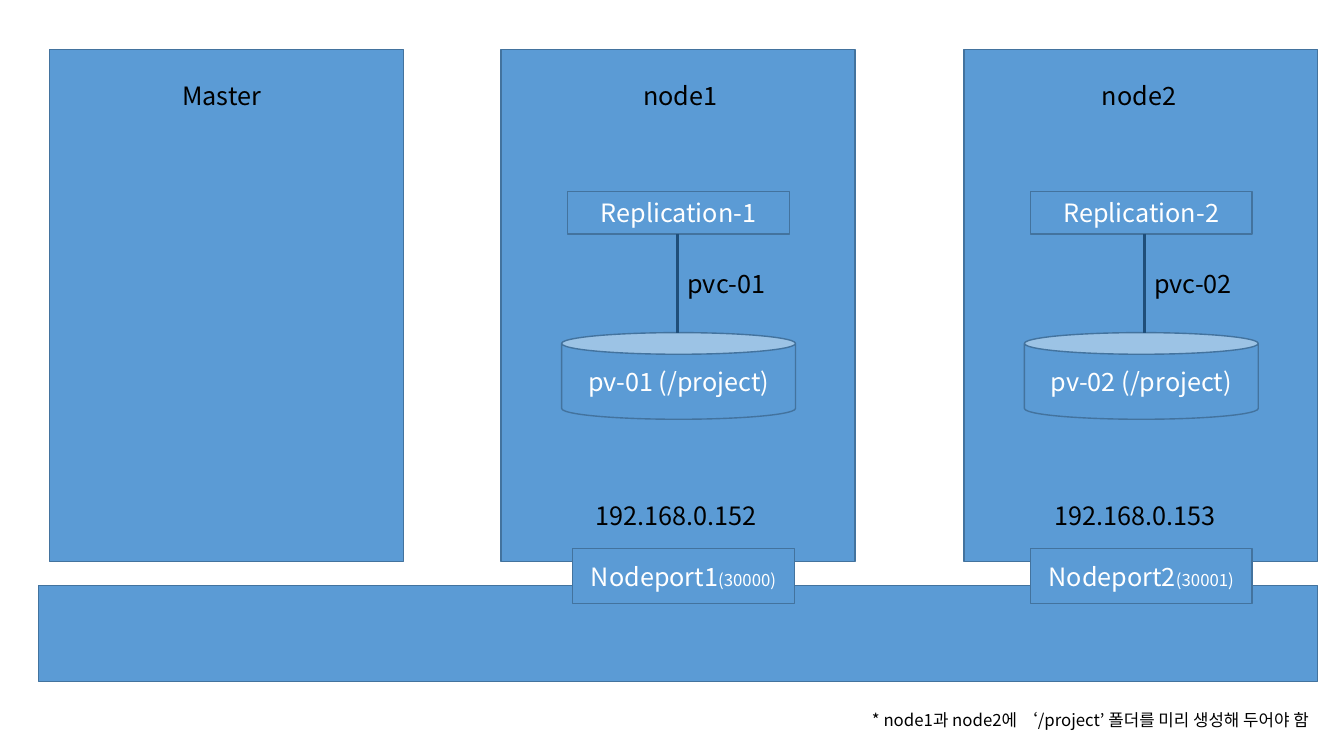
import pptx
import pptx.dml.color
import pptx.enum.shapes
import pptx.enum.text
import pptx.oxml
import pptx.oxml.ns
import pptx.util
from pptx.util import Inches

SHAPES = pptx.enum.shapes.MSO_SHAPE
ALIGN = pptx.enum.text.PP_ALIGN
ANCHOR = pptx.enum.text.MSO_ANCHOR


def color(hex_text):
    """Turn a hex string into a colour."""
    return pptx.dml.color.RGBColor.from_string(hex_text)


class Diagram:
    """Holds the style and the current slide."""
    font = "Noto Sans CJK KR"
    fill, edge, link = "5B9BD5", "43739E", "1F4E79"
    dark, light = "000000", "FFFFFF"

    def __init__(self, slide):
        """Keep the slide to draw on."""
        self.shapes = slide.shapes

    def add_text(self, p, text, size, hex_text):
        """Add one formatted run to a paragraph."""
        r = p.add_run()
        r.text = text
        style = {"name": self.font, "size": pptx.util.Pt(size)}
        for name, value in style.items():
            setattr(r.font, name, value)
        r.font.color.rgb = color(hex_text)
        ea = pptx.oxml.parse_xml(
            f'<a:ea {pptx.oxml.ns.nsdecls("a")} typeface="{self.font}"/>')
        r._r.get_or_add_rPr().append(ea)

    def label(self, text, x, y, w, h=0.4, size=18):
        """Add dark text without a frame."""
        tf = self.shapes.add_textbox(*map(Inches, (x, y, w, h))).text_frame
        tf.word_wrap = True
        self.add_text(tf.paragraphs[0], text, size, self.dark)

    def block(self, x, y, w, h, runs=(), kind=SHAPES.RECTANGLE):
        """Add a filled shape with centred runs of (text, size)."""
        s = self.shapes.add_shape(kind, *map(Inches, (x, y, w, h)))
        s.shadow.inherit = False
        s.fill.solid()
        s.fill.fore_color.rgb = color(self.fill)
        s.line.color.rgb = color(self.edge)
        s.line.width = pptx.util.Pt(1)
        tf = s.text_frame
        tf.vertical_anchor = ANCHOR.MIDDLE
        p = tf.paragraphs[0]
        p.alignment = ALIGN.CENTER
        for text, size in runs:
            self.add_text(p, text, size, self.light)

    def connect(self, x1, y1, x2, y2):
        """Add a plain connecting line."""
        s = self.shapes.add_connector(
            pptx.enum.shapes.MSO_CONNECTOR.STRAIGHT,
            *map(Inches, (x1, y1, x2, y2)))
        s.line.color.rgb = color(self.link)
        s.line.width = pptx.util.Pt(2.25)
        s._element.spPr.append(pptx.oxml.parse_xml(
            f'<a:effectLst {pptx.oxml.ns.nsdecls("a")}/>'))


def draw_machine(d, x, name, name_x, name_w):
    """Draw a server panel with its name."""
    d.block(x, 0.49, 3.51, 5.08)
    d.label(name, name_x, 0.75, name_w)


def draw_node(d, number, x, name_x, port_x, link_x, ip_x):
    """Draw a node with its replication, volume and port."""
    draw_machine(d, x, f"node{number}", name_x, 1.34)
    d.block(x + 0.66, 1.9, 2.2, 0.42, [(f"Replication-{number}", 18)])
    d.block(port_x, 5.44, 2.2, 0.55,
            [(f"Nodeport{number}", 18), (f"({29999 + number})", 12)])
    d.block(x + 0.6, 3.3, 2.32, 0.86,
            [(f"pv-0{number} (/project)", 18)], SHAPES.CAN)
    d.connect(link_x, 2.32, link_x, 3.3)
    d.label(f"pvc-0{number}", link_x, 2.61, 1.16)
    d.label(f"192.168.0.{151 + number}", ip_x, 4.91, 2.28)


prs = pptx.Presentation()
prs.slide_width, prs.slide_height = Inches(13.33), Inches(7.5)
d = Diagram(prs.slides.add_slide(prs.slide_layouts[6]))

d.label("* node1과 node2에 ‘/project’ 폴더를 미리 생성해 두어야 함",
        8.55, 6.99, 5.07, 0.3, 12)
d.block(0.38, 5.81, 12.69, 0.95)
draw_machine(d, 0.49, "Master", 1.71, 1.06)
draw_node(d, 1, x=4.97, name_x=6.28, port_x=5.68, link_x=6.72, ip_x=5.81)
draw_node(d, 2, x=9.56, name_x=10.83, port_x=10.22, link_x=11.35, ip_x=10.36)

prs.save("out.pptx")
